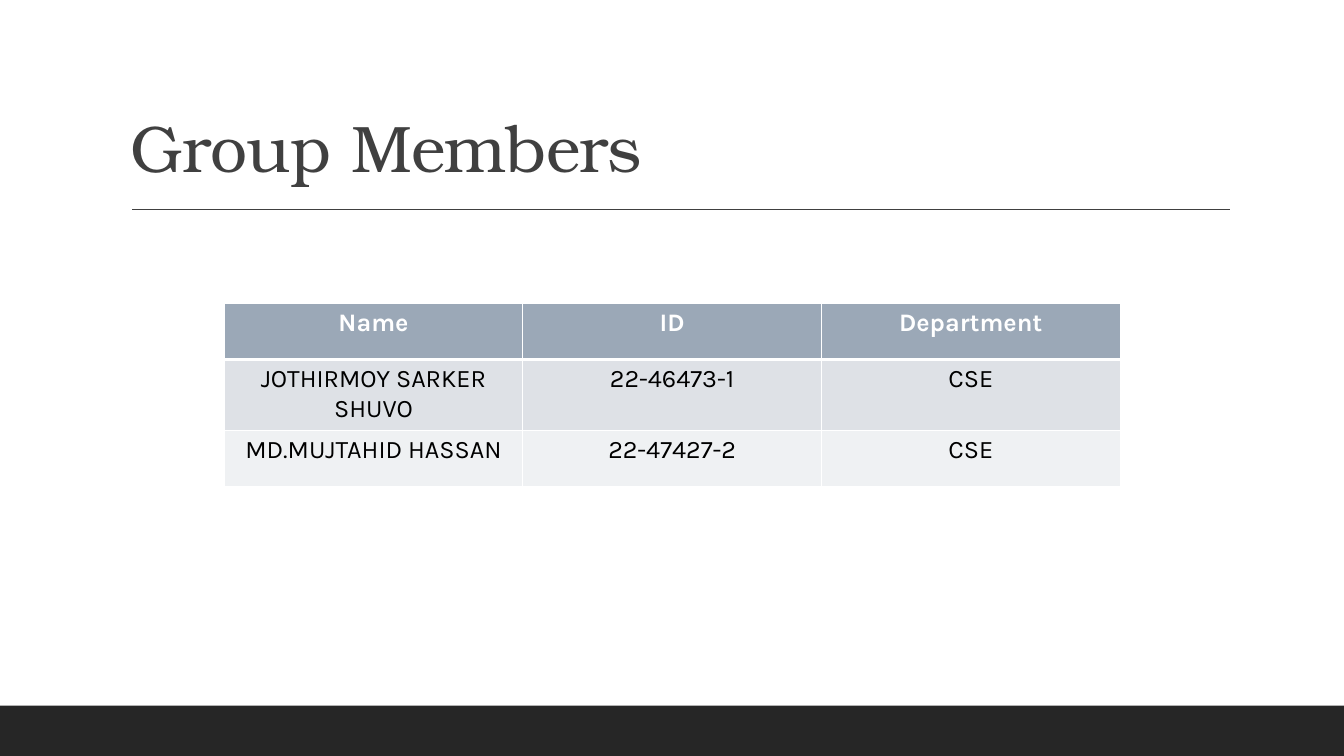
from lxml.etree import SubElement
from pptx import Presentation
from pptx.dml.color import RGBColor
from pptx.enum.shapes import MSO_CONNECTOR, MSO_SHAPE
from pptx.enum.text import MSO_ANCHOR, PP_ALIGN
from pptx.oxml.ns import qn
from pptx.util import Cm, Pt


def color(hex_value):
    return RGBColor.from_string(hex_value)


def set_font(font, formats, hex_value):
    for attribute, value in formats.items():
        setattr(font, attribute, value)
    font.color.rgb = color(hex_value)


prs = Presentation()
prs.slide_width, prs.slide_height = Cm(33.87), Cm(19.05)
slide = prs.slides.add_slide(prs.slide_layouts[6])
shapes = slide.shapes

# Dark band along the bottom
footer_band = shapes.add_shape(MSO_SHAPE.RECTANGLE, 0, Cm(17.78), prs.slide_width, Cm(1.27))
footer_band.shadow.inherit = False
footer_band.fill.solid()
footer_band.fill.fore_color.rgb = color("262626")
footer_band.line.fill.background()

# Rule under the title
title_rule = shapes.add_connector(MSO_CONNECTOR.STRAIGHT, Cm(3.33), Cm(5.28), Cm(31), Cm(5.28))
title_rule.line.color.rgb = color("404040")
title_rule.line.width = Pt(1)
SubElement(title_rule._element.spPr, qn("a:effectLst"))

# Title
title = shapes.add_textbox(Cm(3.05), Cm(0.8), Cm(27.94), Cm(4.03)).text_frame
title.word_wrap = True
title.vertical_anchor = MSO_ANCHOR.BOTTOM
heading = title.paragraphs[0]
heading.line_spacing = 0.9
heading_run = heading.add_run()
heading_run.text = "Group Members"
set_font(heading_run.font, {"name": "TeX Gyre Bonum", "size": Pt(47)}, "404040")
heading_run.font._element.set("spc", "-50")

# Members table
members = [
    ("Name", "ID", "Department"),
    ("JOTHIRMOY SARKER SHUVO", "22-46473-1", "CSE"),
    ("MD.MUJTAHID HASSAN", "22-47427-2", "CSE"),
]
row_fills = ["9BA8B7", "DEE1E6", "EFF1F3"]
row_heights = [Cm(1.41), Cm(1.75), Cm(1.41)]
table = shapes.add_table(3, 3, Cm(5.65), Cm(7.65), Cm(22.58), sum(row_heights)).table

for row_no, member in enumerate(members):
    table.rows[row_no].height = row_heights[row_no]
    is_header = row_no == 0
    for col_no, entry in enumerate(member):
        cell = table.cell(row_no, col_no)
        cell.text = entry
        paragraph = cell.text_frame.paragraphs[0]
        paragraph.alignment = PP_ALIGN.CENTER
        set_font(
            paragraph.runs[0].font,
            {"name": "Karla", "size": Pt(18), "bold": is_header},
            "FFFFFF" if is_header else "000000",
        )

        # White borders, thicker between the header and the body
        borders = {"lnL": 1, "lnR": 1, "lnT": 3 if row_no == 1 else 1, "lnB": 3 if is_header else 1}
        for side, width in borders.items():
            border = SubElement(cell._tc.get_or_add_tcPr(), qn(f"a:{side}"), w=str(Pt(width)))
            border_fill = SubElement(border, qn("a:solidFill"))
            SubElement(border_fill, qn("a:srgbClr"), val="FFFFFF")
        cell.fill.solid()
        cell.fill.fore_color.rgb = color(row_fills[row_no])

prs.save("out.pptx")
